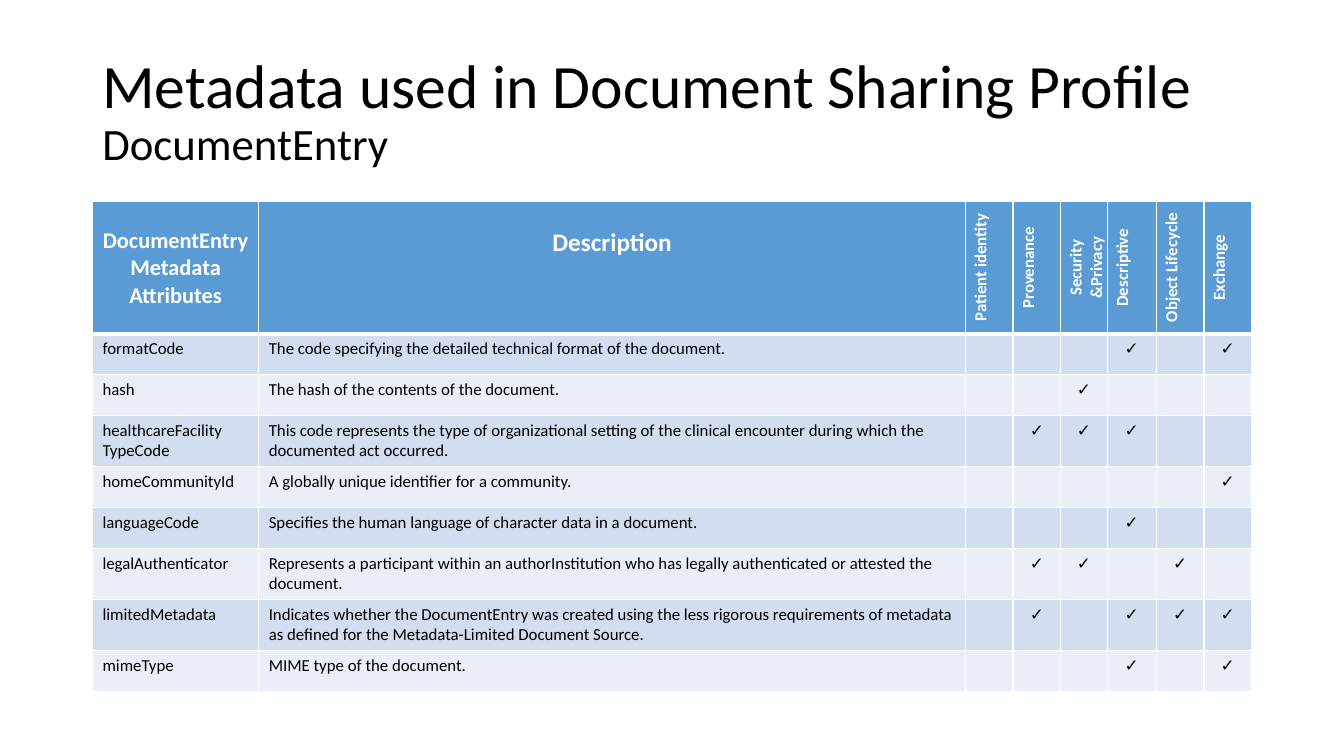
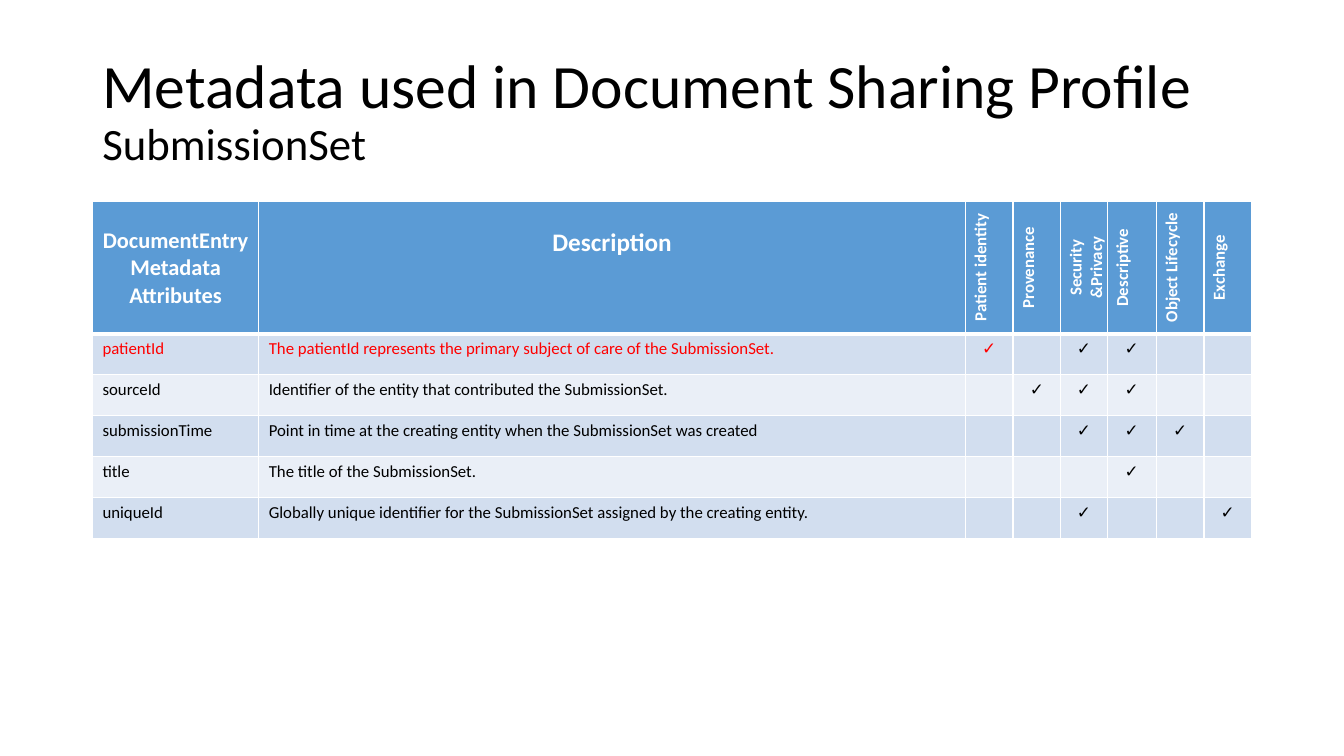
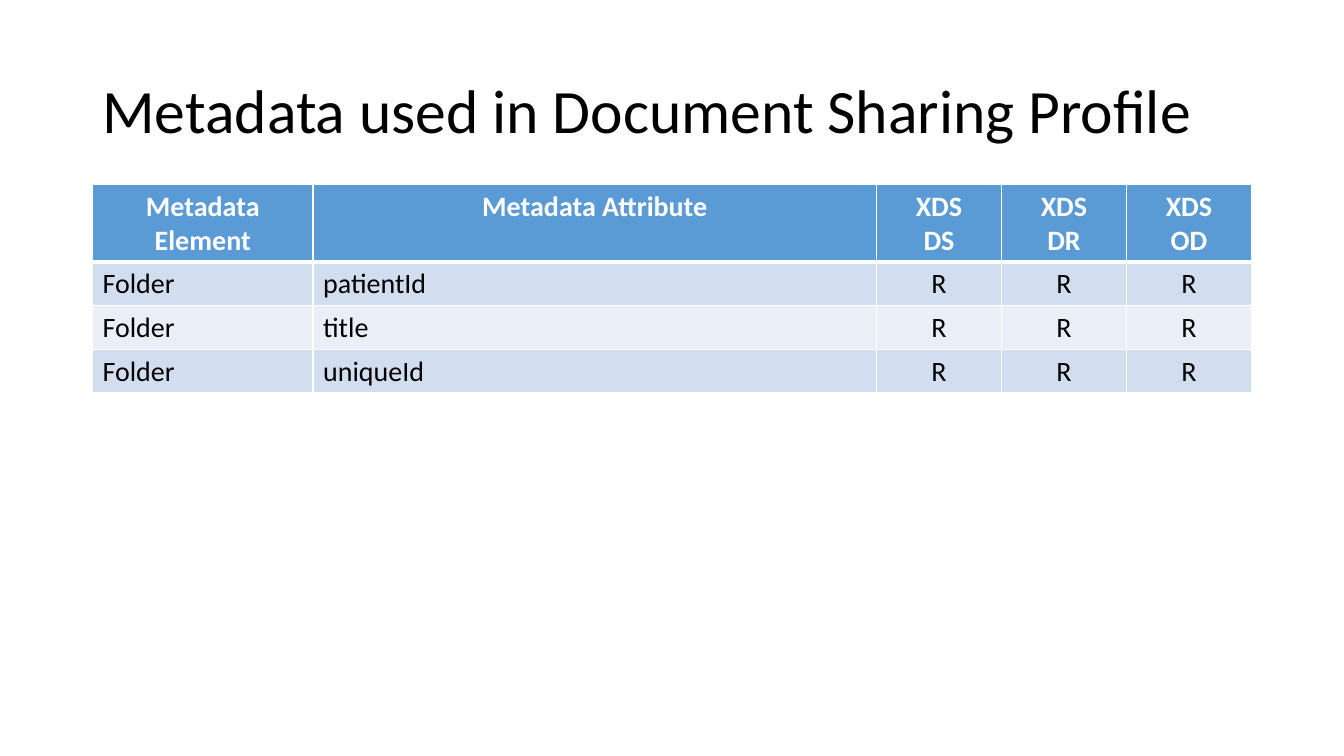
"""Builds three slides of metadata tables for a document sharing profile."""
from lxml import etree
from pptx import Presentation
from pptx.dml.color import RGBColor
from pptx.enum.text import MSO_ANCHOR, PP_ALIGN
from pptx.oxml.ns import qn
from pptx.util import Cm, Pt

LEFT, CENTER = PP_ALIGN.LEFT, PP_ALIGN.CENTER
MIDDLE = MSO_ANCHOR.MIDDLE

TITLE = "Metadata used in Document Sharing Profile"
CHECK = "✓"
ASPECTS = [
    "Patient identity", "Provenance", "Security &Privacy",
    "Descriptive", "Object Lifecycle", "Exchange",
]
ASPECT_WIDTHS = [4.19, 17.81, 1.2, 1.2, 1.17, 1.24, 1.2, 1.2]
LOWERED = {"size": 16, "margin_top": 0.64}
ASPECT_HEADERS = [
    ("DocumentEntry Metadata Attributes", LOWERED),
    ("Description", LOWERED | {"size": 18}),
] + [(aspect, {"size": 12, "vert": "vert270"}) for aspect in ASPECTS]

DOCUMENT_ENTRY = [
    ("formatCode", "The code specifying the detailed technical format of the document.",
     ["Descriptive", "Exchange"]),
    ("hash", "The hash of the contents of the document.", ["Security &Privacy"]),
    ("healthcareFacility TypeCode",
     "This code represents the type of organizational setting of the clinical encounter "
     "during which the documented act occurred.",
     ["Provenance", "Security &Privacy", "Descriptive"]),
    ("homeCommunityId", "A globally unique identifier for a community.", ["Exchange"]),
    ("languageCode", "Specifies the human language of character data in a document.",
     ["Descriptive"]),
    ("legalAuthenticator",
     "Represents a participant within an authorInstitution who has legally authenticated "
     "or attested the document.",
     ["Provenance", "Security &Privacy", "Object Lifecycle"]),
    ("limitedMetadata",
     "Indicates whether the DocumentEntry was created using the less rigorous requirements "
     "of metadata as defined for the Metadata-Limited Document Source.",
     ["Provenance", "Descriptive", "Object Lifecycle", "Exchange"]),
    ("mimeType", "MIME type of the document.", ["Descriptive", "Exchange"]),
]
SUBMISSION_SET = [
    ("patientId", "The patientId represents the primary subject of care of the SubmissionSet.",
     ["Patient identity", "Security &Privacy", "Descriptive"]),
    ("sourceId", "Identifier of the entity that contributed the SubmissionSet.",
     ["Provenance", "Security &Privacy", "Descriptive"]),
    ("submissionTime", "Point in time at the creating entity when the SubmissionSet was created",
     ["Security &Privacy", "Descriptive", "Object Lifecycle"]),
    ("title", "The title of the SubmissionSet.", ["Descriptive"]),
    ("uniqueId", "Globally unique identifier for the SubmissionSet assigned by the creating entity.",
     ["Security &Privacy", "Exchange"]),
]
FOLDER_WIDTHS = [5.56, 14.2, 3.15, 3.15, 3.15]
FOLDER_HEADERS = [
    (text, {"size": 20})
    for text in ["Metadata Element", "Metadata Attribute", "XDS\nDS", "XDS\nDR", "XDS\nOD"]
]
FOLDER_ATTRIBUTES = ["patientId", "title", "uniqueId"]


def color(value):
    return RGBColor.from_string(value)


class Deck:
    font = "Calibri"
    black, white, red = "000000", "FFFFFF", "FF0000"
    header_fill, bands = "5B9BD5", ("D2DEEF", "EAEFF7")
    left, width = 2.33, 29.21
    row_height = 1.03

    def __init__(self):
        self.presentation = Presentation()
        self.presentation.slide_width = Cm(33.87)
        self.presentation.slide_height = Cm(19.05)
        self.slide = None

    def add_slide(self):
        self.slide = self.presentation.slides.add_slide(self.presentation.slide_layouts[6])

    def add_run(self, paragraph, text, size, ink, bold=False):
        run = paragraph.add_run()
        run.text = text
        formats = {"name": self.font, "size": Pt(size), "bold": bold}
        for name, value in formats.items():
            setattr(run.font, name, value)
        run.font.color.rgb = color(ink)

    def add_title(self, subtitle=None):
        box = self.slide.shapes.add_textbox(Cm(self.left), Cm(1.01), Cm(self.width), Cm(3.68))
        frame = box.text_frame
        frame.word_wrap = True
        frame.vertical_anchor = MIDDLE
        paragraph = frame.paragraphs[0]
        paragraph.line_spacing = 0.9
        self.add_run(paragraph, TITLE, 44, self.black)
        if subtitle:
            paragraph.add_line_break()
            self.add_run(paragraph, subtitle, 32, self.black)

    def set_borders(self, cell, widths):
        properties = cell._tc.get_or_add_tcPr()
        for side, width in zip("LRTB", widths):
            line = etree.SubElement(properties, qn(f"a:ln{side}"), w=str(Pt(width)))
            fill = etree.SubElement(line, qn("a:solidFill"))
            etree.SubElement(fill, qn("a:srgbClr"), val=self.white)

    def fill_cell(self, cell, text, fill, size, ink, align, bold=False, borders=(1, 1, 1, 1),
                  margin_top=None, vert=None):
        self.set_borders(cell, borders)
        cell.fill.solid()
        cell.fill.fore_color.rgb = color(fill)
        if margin_top:
            cell.margin_top = Cm(margin_top)
        if vert:
            cell._tc.get_or_add_tcPr().set("vert", vert)
        frame = cell.text_frame
        for index, line in enumerate(text.split("\n") if text else []):
            paragraph = frame.add_paragraph() if index else frame.paragraphs[0]
            paragraph.alignment = align
            self.add_run(paragraph, line, size, ink, bold)

    def add_table(self, top, widths, header_height, headers, rows, size, red_cells=()):
        heights = [header_height] + [self.row_height] * len(rows)
        frame = self.slide.shapes.add_table(
            len(heights), len(widths), Cm(self.left), Cm(top), Cm(self.width), Cm(sum(heights)))
        table = frame.table
        for column, width in zip(table.columns, widths):
            column.width = Cm(width)
        for row, height in zip(table.rows, heights):
            row.height = Cm(height)
        for index, (text, formats) in enumerate(headers):
            self.fill_cell(table.cell(0, index), text, self.header_fill, ink=self.white,
                           align=CENTER, bold=True, borders=(1, 1, 1, 3), **formats)
        for row_index, texts in enumerate(rows):
            borders = (1, 1, 1 if row_index else 3, 1)
            for index, text in enumerate(texts):
                ink = self.red if (row_index, index) in red_cells else self.black
                self.fill_cell(table.cell(row_index + 1, index), text, self.bands[row_index % 2],
                               size, ink, LEFT if index < 2 else CENTER, borders=borders)

    def add_aspect_table(self, entries, red_cells=()):
        rows = [
            [name, description] + [CHECK if aspect in marked else "" for aspect in ASPECTS]
            for name, description, marked in entries
        ]
        self.add_table(5.08, ASPECT_WIDTHS, 3.3, ASPECT_HEADERS, rows, 12, red_cells)


def main():
    deck = Deck()
    aspect_slides = [
        ("DocumentEntry", DOCUMENT_ENTRY, ()),
        ("SubmissionSet", SUBMISSION_SET, [(0, 0), (0, 1), (0, 2)]),
    ]
    for subtitle, entries, red_cells in aspect_slides:
        deck.add_slide()
        deck.add_aspect_table(entries, red_cells)
        deck.add_title(subtitle)
    deck.add_slide()
    folder_rows = [["Folder", attribute] + ["R"] * 3 for attribute in FOLDER_ATTRIBUTES]
    deck.add_table(4.65, FOLDER_WIDTHS, 1.63, FOLDER_HEADERS, folder_rows, 20)
    deck.add_title()
    deck.presentation.save("out.pptx")


if __name__ == "__main__":
    main()
